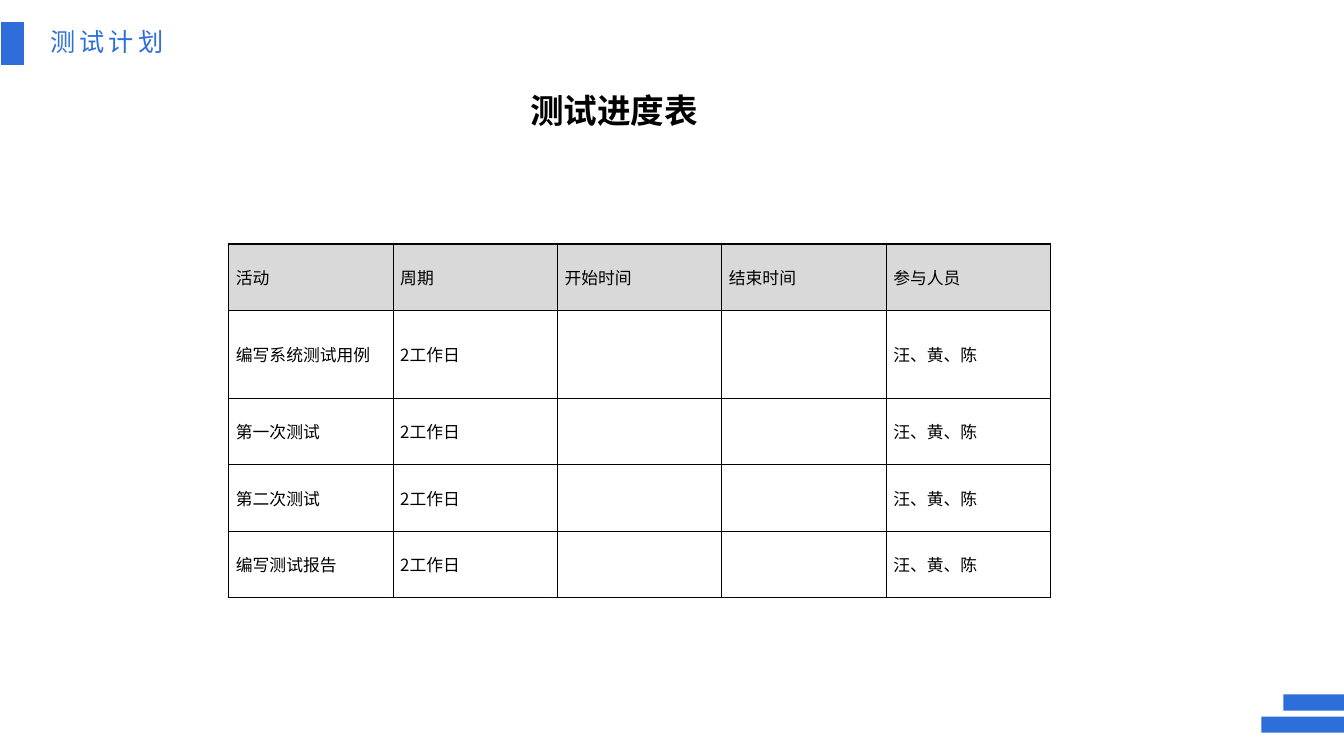
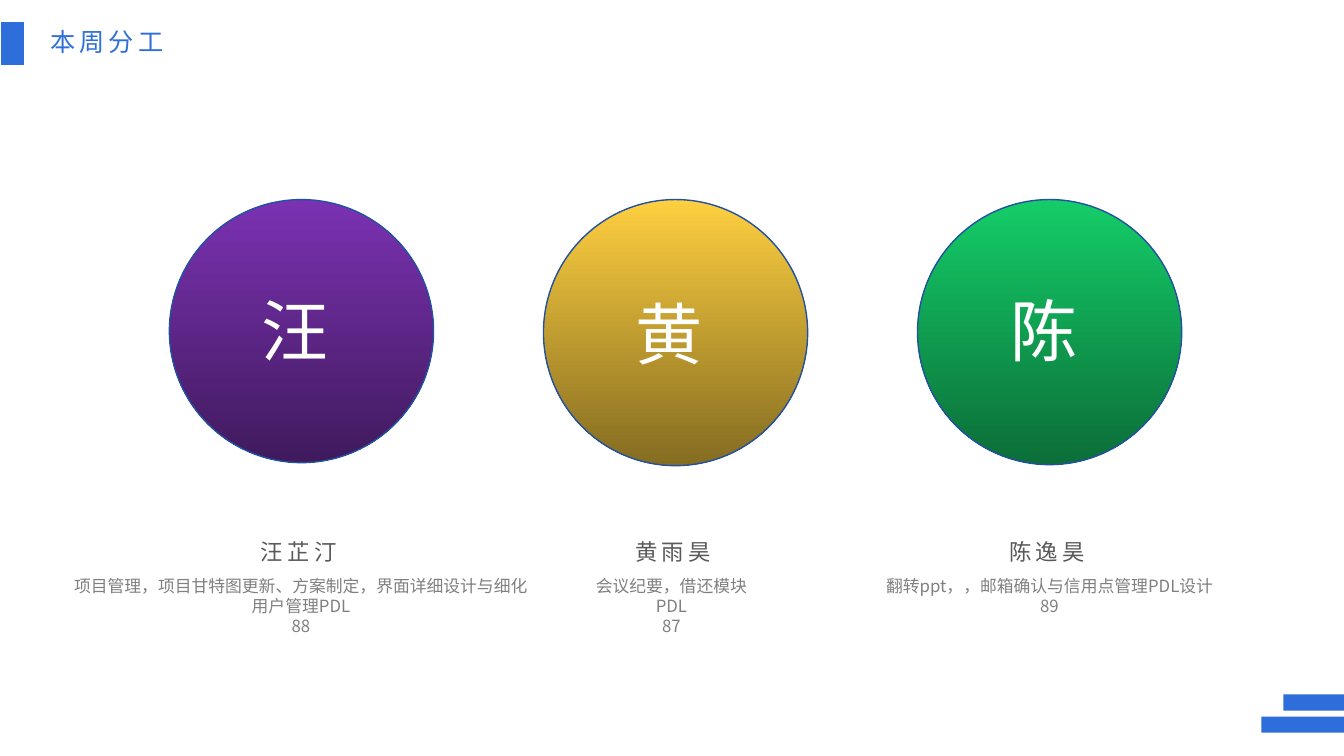
from lxml import etree
from pptx import Presentation
from pptx.dml.color import RGBColor
from pptx.enum.shapes import MSO_SHAPE
from pptx.enum.text import MSO_ANCHOR, PP_ALIGN
from pptx.oxml.ns import qn
from pptx.util import Pt

PX = 9144  # EMU in one px, 100 px to the inch
SLIDE_WIDTH, SLIDE_HEIGHT = 1333, 750
FONT = "Noto Sans CJK SC"

RECTANGLE, ELLIPSE = MSO_SHAPE.RECTANGLE, MSO_SHAPE.OVAL
LEFT, CENTER = PP_ALIGN.LEFT, PP_ALIGN.CENTER
MIDDLE = MSO_ANCHOR.MIDDLE

WHITE = RGBColor(0xFF, 0xFF, 0xFF)
BLACK = RGBColor(0x00, 0x00, 0x00)
BLUE = RGBColor(0x2E, 0x6E, 0xDA)
TITLE_BLUE = RGBColor(0x2F, 0x6F, 0xDA)
OUTLINE_BLUE = RGBColor(0x22, 0x51, 0xA1)
DARK_GRAY = RGBColor(0x59, 0x59, 0x59)
GRAY = RGBColor(0x80, 0x80, 0x80)
HEADER_GRAY = RGBColor(0xD9, 0xD9, 0xD9)
BORDER = RGBColor(0x08, 0x00, 0x00)
PURPLES = RGBColor(0x7B, 0x32, 0xB2), RGBColor(0x40, 0x1A, 0x5D)
GOLDS = RGBColor(0xFE, 0xCF, 0x40), RGBColor(0x84, 0x6C, 0x21)
GREENS = RGBColor(0x14, 0xCD, 0x68), RGBColor(0x0B, 0x6E, 0x38)

# Text styles: spacing is in points between letters
TITLE = {"size": 18, "color": TITLE_BLUE, "spacing": 3}
HEADING = {"size": 24, "color": BLACK, "bold": True}
CELL = {"size": 12, "color": BLACK}
INITIAL = {"size": 48, "color": WHITE}
NAME = {"size": 16, "color": DARK_GRAY, "spacing": 3}
TASK = {"size": 12, "color": GRAY}

SCHEDULE = [
    ["活动", "周期", "开始时间", "结束时间", "参与人员"],
    *([activity, "2工作日", "", "", "汪、黄、陈"]
      for activity in ("编写系统测试用例", "第一次测试", "第二次测试", "编写测试报告")),
]
ROW_HEIGHTS = [66, 87, 66, 66, 66]
COLUMN_WIDTH = 163

# Name, gradient, circle height, top of initial, left and width of tasks, tasks
MEMBERS = [
    ("汪芷汀", PURPLES, 261, 282, 61, 475,
     ["项目管理，项目甘特图更新、方案制定，界面详细设计与细化", "用户管理PDL", "88"]),
    ("黄雨昊", GOLDS, 264, 285, 568, 196, ["会议纪要，借还模块PDL", "87"]),
    ("陈逸昊", GREENS, 263, 282, 831, 420,
     ["翻转ppt，，邮箱确认与信用点管理PDL设计", "89"]),
]
MEMBER_LEFT, MEMBER_STEP = 168, 371


def scale(*lengths):
    return [length * PX for length in lengths]


def set_attributes(target, values):
    for name, value in values.items():
        setattr(target, name, value)


class Deck:
    def __init__(self):
        self.presentation = Presentation()
        width, height = scale(SLIDE_WIDTH, SLIDE_HEIGHT)
        set_attributes(self.presentation, {"slide_width": width, "slide_height": height})
        self.slide = None

    def add_slide(self, title):
        """Start a slide with the shared title and blue bars."""
        self.slide = self.presentation.slides.add_slide(self.presentation.slide_layouts[6])
        self.text(40, 21, 137, 40, [title], TITLE, wrap=False)
        self.shape(RECTANGLE, 0, 21, 25, 44, BLUE, WHITE)
        for left, top in ((1251, 711), (1273, 689)):
            self.shape(RECTANGLE, left, top, SLIDE_WIDTH - left, 16, BLUE)

    def styled_run(self, paragraph, text, style, align=LEFT):
        paragraph.alignment = align
        run = paragraph.add_run()
        run.text = text
        set_attributes(run.font, {
            "size": Pt(style["size"]), "bold": style.get("bold", False), "name": FONT})
        run.font.color.rgb = style["color"]
        properties = run._r.get_or_add_rPr()
        etree.SubElement(properties, qn("a:ea"), typeface=FONT)
        if "spacing" in style:
            properties.set("spc", str(style["spacing"] * 100))

    def text(self, left, top, width, height, lines, style, align=LEFT, wrap=True):
        box = self.slide.shapes.add_textbox(*scale(left, top, width, height))
        frame = box.text_frame
        frame.word_wrap = wrap
        for index, line in enumerate(lines):
            paragraph = frame.add_paragraph() if index else frame.paragraphs[0]
            self.styled_run(paragraph, line, style, align)

    def shape(self, kind, left, top, width, height, fill, line=None):
        """Draw a shape; a pair of colours as fill makes a downward gradient."""
        shape = self.slide.shapes.add_shape(kind, *scale(left, top, width, height))
        shape.shadow.inherit = False
        if isinstance(fill, RGBColor):
            shape.fill.solid()
            shape.fill.fore_color.rgb = fill
        else:
            shape.fill.gradient()
            shape.fill.gradient_angle = 270
            for stop, color in zip(shape.fill.gradient_stops, fill):
                stop.color.rgb = color
        if line is None:
            shape.line.fill.background()
        else:
            shape.line.color.rgb = line
            shape.line.width = Pt(1)

    def border(self, cell):
        properties = cell._tc.get_or_add_tcPr()
        for index, side in enumerate(("lnL", "lnR", "lnT", "lnB")):
            line = etree.Element(qn(f"a:{side}"), w=str(int(Pt(1))))
            solid = etree.SubElement(line, qn("a:solidFill"))
            etree.SubElement(solid, qn("a:srgbClr"), val=str(BORDER))
            properties.insert(index, line)

    def table(self, left, top, column_width, row_heights, rows):
        columns = len(rows[0])
        size = scale(left, top, column_width * columns, sum(row_heights))
        table = self.slide.shapes.add_table(len(rows), columns, *size).table
        set_attributes(table, {"first_row": False, "horz_banding": False})
        for column in table.columns:
            column.width = column_width * PX
        for row_index, (row, height) in enumerate(zip(rows, row_heights)):
            table.rows[row_index].height = height * PX
            for column_index, text in enumerate(row):
                cell = table.cell(row_index, column_index)
                set_attributes(cell, {
                    "margin_left": 7 * PX, "margin_right": 7 * PX, "margin_top": 0,
                    "margin_bottom": 0, "vertical_anchor": MIDDLE})
                if row_index == 0:
                    cell.fill.solid()
                    cell.fill.fore_color.rgb = HEADER_GRAY
                else:
                    cell.fill.background()
                self.border(cell)
                if text:
                    self.styled_run(cell.text_frame.paragraphs[0], text, CELL)


def main():
    deck = Deck()

    # Test schedule
    deck.add_slide("测试计划")
    deck.text(516, 84, 390, 50, ["测试进度表"], HEADING)
    deck.table(227, 242, COLUMN_WIDTH, ROW_HEIGHTS, SCHEDULE)

    # Division of work: one column per member
    deck.add_slide("本周分工")
    for index, member in enumerate(MEMBERS):
        name, gradient, height, initial_top, task_left, task_width, tasks = member
        left = MEMBER_LEFT + index * MEMBER_STEP
        deck.shape(ELLIPSE, left, 198, 262, height, gradient, OUTLINE_BLUE)
        deck.text(left + 82, initial_top, 100, 91, [name[0]], INITIAL)
        deck.text(left + 81, 529, 99, 37, [name], NAME, wrap=False)
        deck.text(task_left, 566, task_width, 20 * len(tasks) + 10, tasks, TASK, CENTER)

    deck.presentation.save("out.pptx")


if __name__ == "__main__":
    main()
